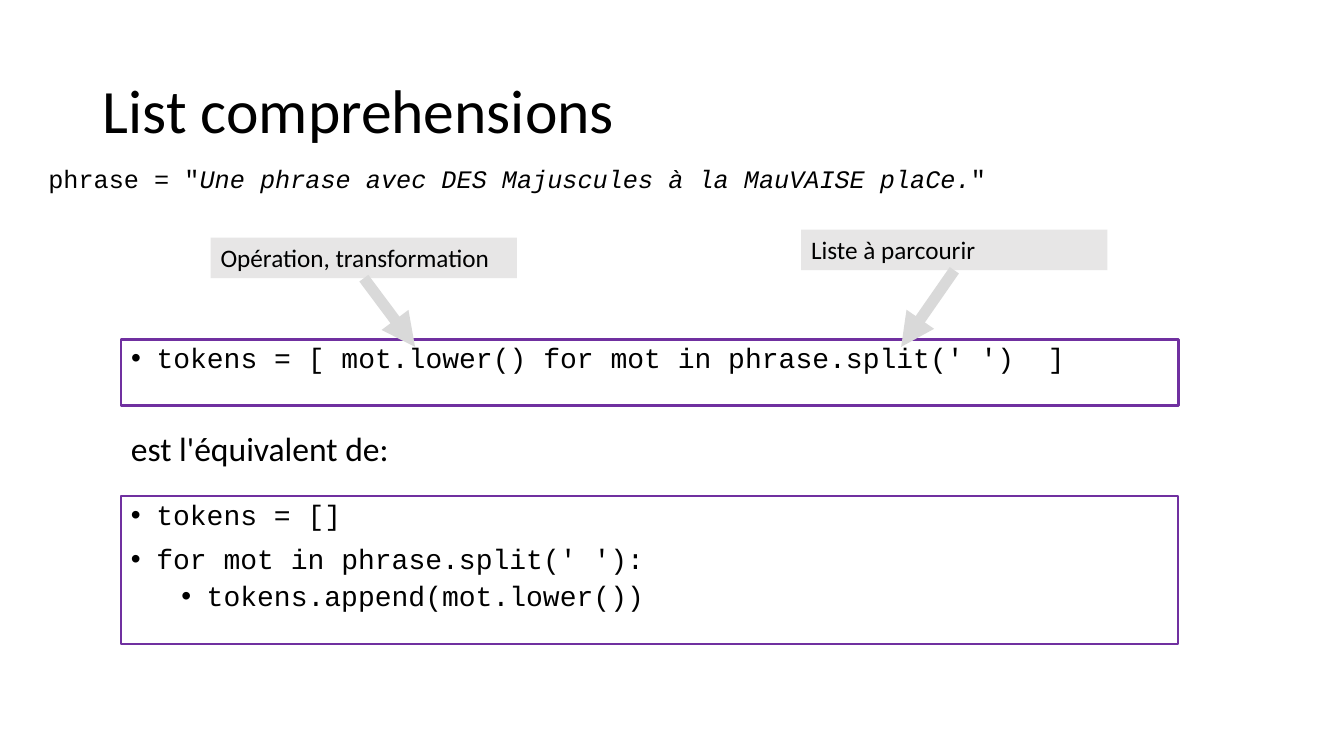
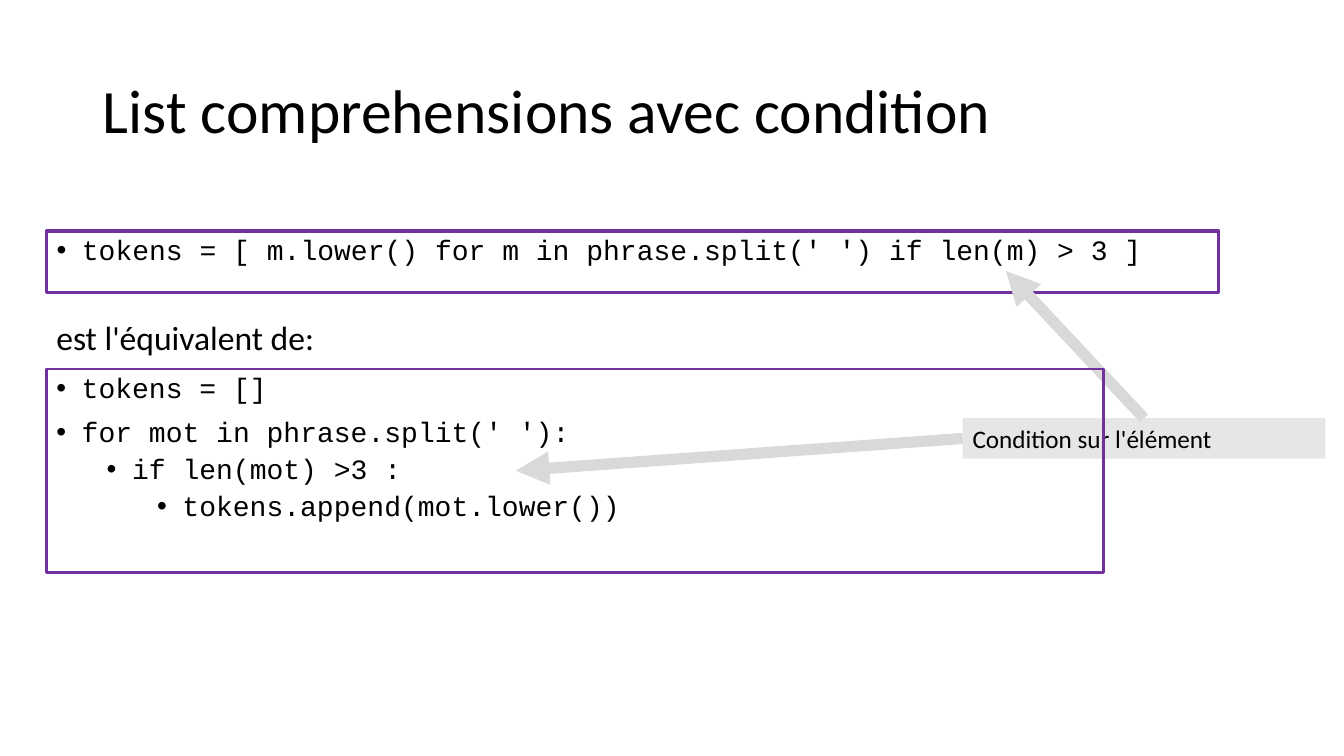
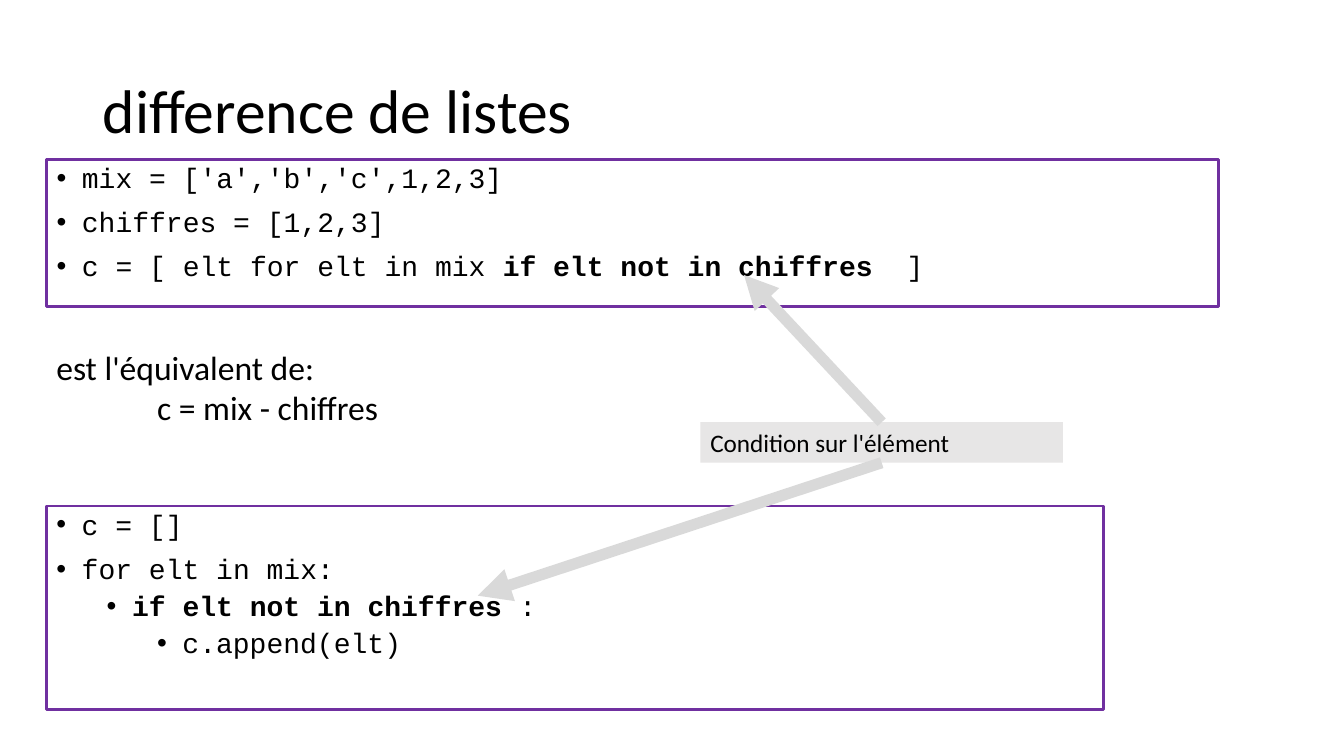
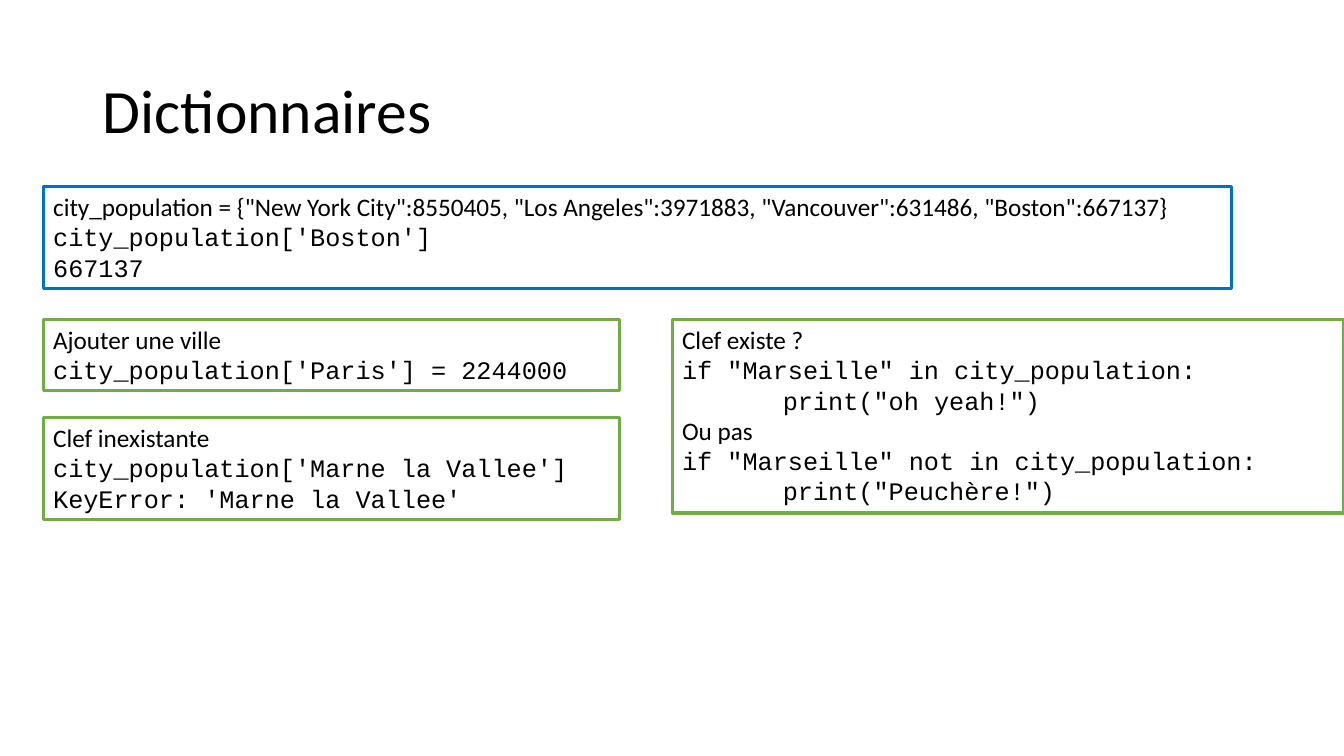
"""Builds four slides on Python list comprehensions and dictionaries."""
from lxml import etree
from pptx import Presentation
from pptx import util as u
from pptx.dml import color
from pptx.enum import shapes, text
from pptx.oxml import ns

COLORS = {
    "ink": "000000",
    "code": "7030A0",
    "label": "E7E6E6",
    "arrow": "D9D9D9",
    "example": "0070C0",
    "usage": "70AD47",
}
SANS, MONO = "Calibri", "Courier New"
TOP, LEFT, BOTTOM = 0, 1, 2
TITLE_AND_CONTENT, TITLE_ONLY = 1, 5
EQUIVALENT = "est l'équivalent de:"
CONDITION = "Condition sur l'élément"


def rgb(name):
    return color.RGBColor.from_string(COLORS[name])


def cm(*lengths):
    return [u.Cm(length) for length in lengths]


def write(paragraph, content, font=SANS, size=18, emphasis="bold"):
    """Adds text to a paragraph; parts between double stars are emphasised."""
    for number, part in enumerate(content.split("**")):
        if part:
            run = paragraph.add_run()
            run.text = part
            run.font.name = font
            run.font.size = u.Pt(size)
            run.font.color.rgb = rgb("ink")
            if number % 2:
                setattr(run.font, emphasis, True)


def indent(paragraph, margin, hanging=0):
    properties = paragraph._p.get_or_add_pPr()
    properties.set("marL", str(u.Cm(margin)))
    properties.set("indent", str(-u.Cm(hanging)))
    return properties


class Deck:
    """Holds the style and the current slide."""

    def __init__(self):
        self.presentation = Presentation()
        self.presentation.slide_width, self.presentation.slide_height = cm(33.87, 19.05)
        self.slide = None

    def new_slide(self, heading, layout=TITLE_AND_CONTENT):
        self.slide = self.presentation.slides.add_slide(
            self.presentation.slide_layouts[layout])
        title = self.slide.shapes.title
        title.left, title.top, title.width, title.height = cm(2.34, 1.02, 29.21, 3.68)
        frame = title.text_frame
        frame.auto_size = text.MSO_AUTO_SIZE.NONE
        frame.vertical_anchor = text.MSO_ANCHOR.MIDDLE
        paragraph = frame.paragraphs[0]
        paragraph.alignment = text.PP_ALIGN.LEFT
        paragraph.line_spacing = 0.9
        write(paragraph, heading, size=44)

    def box(self, place, fill=None, line=None, weight=2.25, holder=None):
        area = holder or self.slide.shapes.add_textbox(*cm(*place))
        area.left, area.top, area.width, area.height = cm(*place)
        area.text_frame.word_wrap = True
        area.text_frame.auto_size = text.MSO_AUTO_SIZE.NONE
        if fill:
            area.fill.solid()
            area.fill.fore_color.rgb = rgb(fill)
        if line:
            area.line.color.rgb = rgb(line)
            area.line.width = u.Pt(weight)
        return area

    def paragraphs(self, area, lines):
        frame = area.text_frame
        for number, line in enumerate(lines):
            yield frame.add_paragraph() if number else frame.paragraphs[0], line

    def code(self, place, lines, weight=2, main=False):
        """Adds a bulleted listing; each line is a level and its text."""
        holder = self.slide.placeholders[1] if main else None
        listing = self.box(place, line="code", weight=weight, holder=holder)
        for paragraph, (level, content) in self.paragraphs(listing, lines):
            paragraph.level = level
            paragraph.line_spacing = 0.9
            paragraph.space_before = u.Pt(5 if level else 10)
            properties = indent(paragraph, 0.64 + 1.27 * level, 0.64)
            etree.SubElement(properties, ns.qn("a:buFont"), typeface="Arial")
            etree.SubElement(properties, ns.qn("a:buChar"), char="•")
            write(paragraph, content, font=MONO, size=20)

    def panel(self, place, lines, line=None):
        """Adds plain lines; each is a text, a font and a left margin."""
        area = self.box(place, line=line)
        for paragraph, (content, font, margin) in self.paragraphs(area, lines):
            if margin:
                indent(paragraph, margin)
            write(paragraph, content, font=font)

    def remark(self, place, *lines):
        area = self.box(place)
        for number, (paragraph, content) in enumerate(self.paragraphs(area, lines)):
            if number:
                indent(paragraph, 2.54)
            write(paragraph, content, size=24)

    def label(self, left, top, width, content):
        tag = self.box((left, top, width, 1.02), fill="label")
        write(tag.text_frame.paragraphs[0], content)
        return tag

    def arrow(self, tip, start=None, source=None, side=BOTTOM):
        pointer = self.slide.shapes.add_connector(
            shapes.MSO_CONNECTOR.STRAIGHT, *cm(*(start or tip), *tip))
        if source is not None:
            pointer.begin_connect(source, side)
        pointer.line.color.rgb = rgb("arrow")
        pointer.line.width = u.Pt(8)
        etree.SubElement(pointer.line._get_or_add_ln(), ns.qn("a:tailEnd"), type="triangle")
        etree.SubElement(pointer._element.spPr, ns.qn("a:effectLst"))


def comprehension(deck):
    deck.new_slide("List comprehensions")
    deck.code((3.05, 8.56, 26.64, 1.65),
              [(0, "tokens = [ mot.lower() for mot in phrase.split(' ')  ]")], main=True)
    for left, top, content, tip in (
            (5.31, 5.99, "Opération, transformation", (10.46, 8.74)),
            (20.19, 5.79, "Liste à parcourir", (22.71, 8.74))):
        deck.arrow(tip, source=deck.label(left, top, 7.72, content))
    phrase = deck.box((0.97, 3.99, 28.7, 1.02))
    write(phrase.text_frame.paragraphs[0],
          'phrase = "**Une phrase avec DES Majuscules à la MauVAISE plaCe.**"',
          font=MONO, emphasis="italic")
    deck.code((3.05, 12.5, 26.64, 3.73), [
        (0, "tokens = []"),
        (0, "for mot in phrase.split(' '):"),
        (1, "tokens.append(mot.lower())")])
    deck.remark((3.05, 10.67, 7.26, 1.27), EQUIVALENT)


def conditional(deck):
    deck.new_slide("List comprehensions avec condition")
    deck.code((1.17, 5.82, 29.54, 1.55),
              [(0, "tokens = [ m.lower() for m in phrase.split(' ') if len(m) > 3 ]")],
              weight=2.25, main=True)
    condition = deck.label(24.26, 10.54, 9.14, CONDITION)
    deck.arrow((25.35, 6.83), source=condition, side=TOP)
    deck.code((1.17, 9.3, 26.64, 5.13), [
        (0, "tokens = []"),
        (0, "for mot in phrase.split(' '):"),
        (1, "if len(mot) >3 :"),
        (2, "tokens.append(mot.lower())")])
    deck.arrow((13, 11.86), source=condition, side=LEFT)
    deck.remark((1.17, 7.85, 7.26, 1.27), EQUIVALENT)


def difference(deck):
    deck.new_slide("difference de listes")
    deck.code((1.17, 4.01, 29.54, 3.71), [
        (0, "mix = ['a','b','c',1,2,3]"),
        (0, "chiffres = [1,2,3]"),
        (0, "c = [ elt for elt in mix **if elt not in chiffres**  ]")],
        weight=2.25, main=True)
    condition = deck.label(17.65, 10.64, 9.14, CONDITION)
    deck.arrow((18.75, 6.93), source=condition, side=TOP)
    deck.code((1.17, 12.75, 26.64, 5.13), [
        (0, "c = []"),
        (0, "for elt in mix:"),
        (1, "**if elt not in chiffres** :"),
        (2, "c.append(elt)")])
    deck.arrow((12.04, 15.01), source=condition)
    deck.remark((1.17, 8.61, 8.92, 2.31), EQUIVALENT, "c = mix - chiffres")


def dictionaries(deck):
    deck.new_slide("Dictionnaires", TITLE_ONLY)
    deck.panel((1.09, 4.7, 29.95, 2.57), [
        ('city_population = {"New York City":8550405, "Los Angeles":3971883, '
         '"Vancouver":631486, "Boston":667137}', SANS, 0),
        ("city_population['Boston']", MONO, 0),
        ("667137", MONO, 0)], line="example")
    deck.panel((16.94, 8.05, 16.93, 4.88), [
        ("Clef existe ?", SANS, 0),
        ('if "Marseille" in city_population:', MONO, 0),
        ('print("oh yeah!")', MONO, 2.54),
        ("Ou pas", SANS, 0),
        ('if "Marseille" not in city_population:', MONO, 0),
        ('print("Peuchère!")', MONO, 2.54)], line="usage")
    deck.panel((1.09, 10.52, 14.53, 2.57), [
        ("Clef inexistante", SANS, 0),
        ("city_population['Marne la Vallee']", MONO, 0),
        ("KeyError: 'Marne la Vallee'", MONO, 0)], line="usage")
    deck.panel((1.09, 8.05, 14.53, 1.8), [
        ("Ajouter une ville", SANS, 0),
        ("city_population['Paris'] = 2244000", MONO, 0)], line="usage")


def main():
    deck = Deck()
    for build in (comprehension, conditional, difference, dictionaries):
        build(deck)
    deck.presentation.save("out.pptx")


if __name__ == "__main__":
    main()
